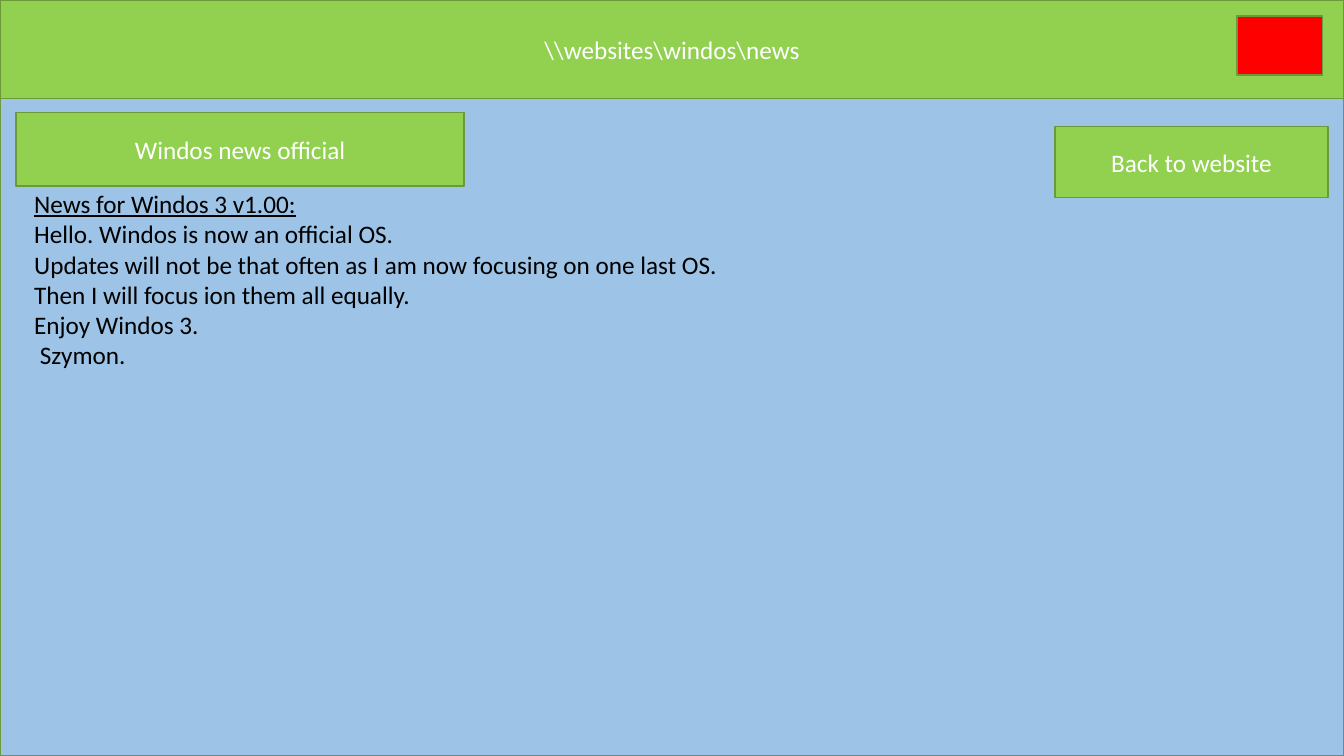
"""Build the Windos news page as a single slide."""
import pptx
import pptx.dml.color
import pptx.enum.shapes
import pptx.enum.text
import pptx.util

Pt = pptx.util.Pt
ALIGN = pptx.enum.text.PP_ALIGN
ANCHOR = pptx.enum.text.MSO_ANCHOR


def color(hex_code):
    return pptx.dml.color.RGBColor.from_string(hex_code)


def write(paragraph, text, size=18, font="Calibri", ink="000000",
          underline=False, align=ALIGN.LEFT):
    paragraph.alignment = align
    run = paragraph.add_run()
    run.text = text
    run.font.size = Pt(size)
    run.font.name = font
    run.font.color.rgb = color(ink)
    run.font.underline = underline


class Page:
    GREEN = "92D050"
    BLUE = "9DC3E6"
    RED = "FF0000"
    OUTLINE = "6C9A3B"
    WHITE = "FFFFFF"

    def __init__(self, slide):
        self.slide = slide

    def panel(self, left, top, width, height, fill, label=None):
        panel = self.slide.shapes.add_shape(
            pptx.enum.shapes.MSO_SHAPE.RECTANGLE,
            Pt(left), Pt(top), Pt(width), Pt(height))
        panel.shadow.inherit = False
        panel.fill.solid()
        panel.fill.fore_color.rgb = color(fill)
        panel.line.color.rgb = color(self.OUTLINE)
        panel.line.width = Pt(1)
        if label:
            frame = panel.text_frame
            frame.word_wrap = True
            frame.vertical_anchor = ANCHOR.MIDDLE
            write(frame.paragraphs[0], label, ink=self.WHITE, align=ALIGN.CENTER)

    def article(self, left, top, width, height, heading, lines):
        box = self.slide.shapes.add_textbox(Pt(left), Pt(top), Pt(width), Pt(height))
        frame = box.text_frame
        frame.word_wrap = True
        frame.auto_size = pptx.enum.text.MSO_AUTO_SIZE.SHAPE_TO_FIT_TEXT
        write(frame.paragraphs[0], heading, underline=True)
        for line in lines:
            write(frame.add_paragraph(), line)


def main():
    width, height, header = 960, 540, 70.5
    deck = pptx.Presentation()
    deck.slide_width, deck.slide_height = Pt(width), Pt(height)
    page = Page(deck.slides.add_slide(deck.slide_layouts[6]))

    page.panel(0, header, width, height - header, page.BLUE)
    page.panel(0, 0, width, header, page.GREEN, r"\\websites\windos\news")
    page.panel(883.5, 11.5, 61, 42, page.RED)
    page.panel(11.5, 80.5, 320, 52.5, page.GREEN, "Windos news official")
    page.article(17.3, 131, 936.7, 138.2, "News for Windos 3 v1.00:", [
        "Hello. Windos is now an official OS.",
        "Updates will not be that often as I am now focusing on one last OS.",
        "Then I will focus ion them all equally.",
        "Enjoy Windos 3.",
        " Szymon.",
    ])
    page.panel(753.5, 90.5, 195, 50.5, page.GREEN, "Back to website")

    deck.save("out.pptx")


if __name__ == "__main__":
    main()
